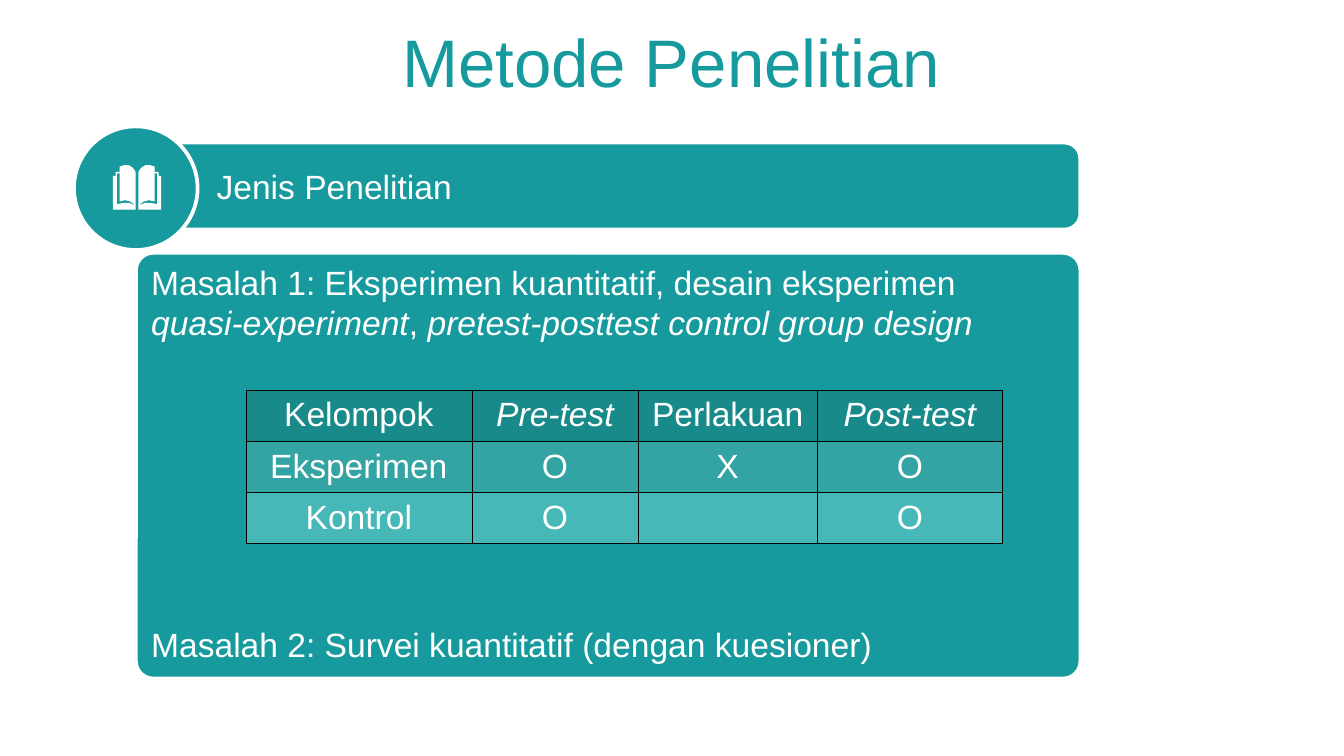
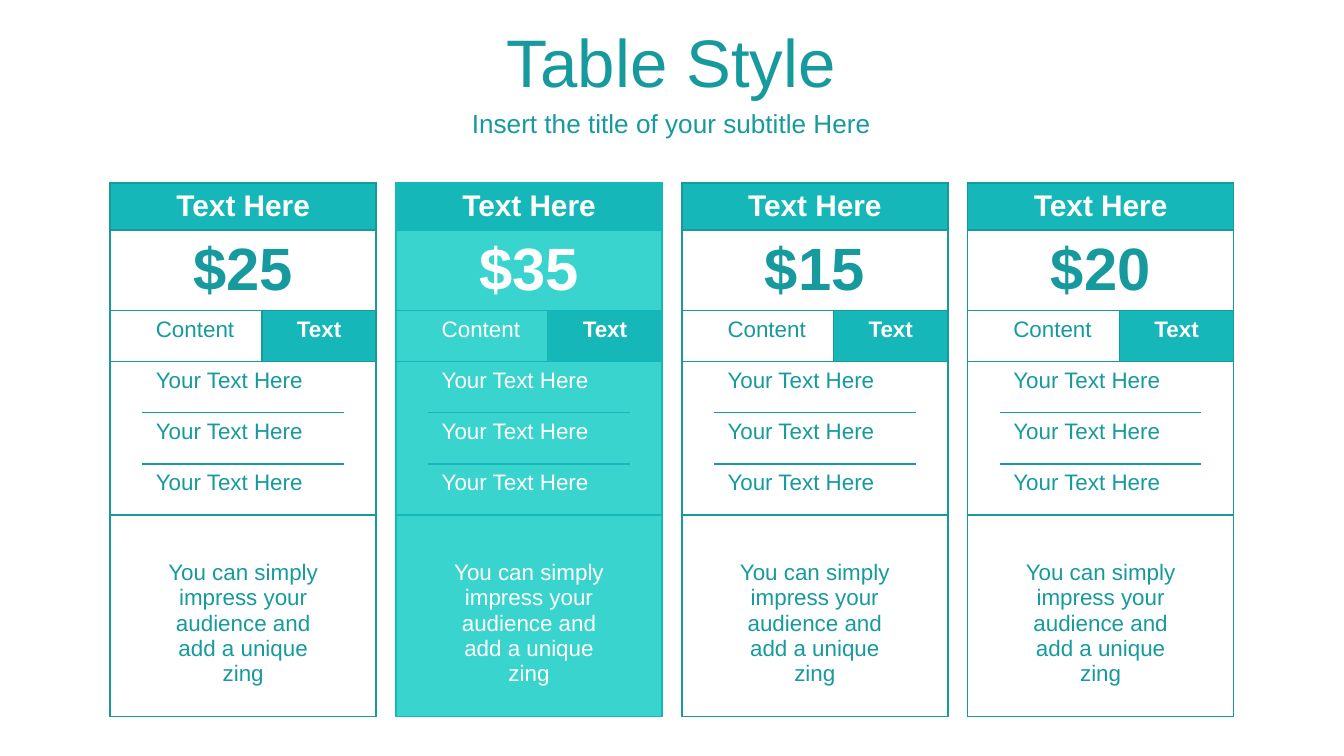
from lxml import etree
from pptx import Presentation
from pptx.dml.color import RGBColor
from pptx.enum.shapes import MSO_SHAPE as SHAPE
from pptx.enum.text import MSO_ANCHOR as ANCHOR, MSO_AUTO_SIZE as AUTO, PP_ALIGN as ALIGN
from pptx.oxml.ns import qn
from pptx.util import Inches, Pt

# Shared look
TEAL = RGBColor(0x17, 0x9A, 0x9D)
BRIGHT = RGBColor(0x16, 0xB7, 0xB8)
AQUA = RGBColor(0x38, 0xD4, 0xCD)
WHITE = RGBColor(0xFF, 0xFF, 0xFF)
BLACK = RGBColor(0, 0, 0)
ROW_FILLS = [RGBColor(0x19, 0x8A, 0x8A), RGBColor(0x33, 0xA3, 0xA3), RGBColor(0x47, 0xB8, 0xB8)]
FONT = "Arial"
SLIDE_W = 10
SLIDE_H = SLIDE_W * 9 / 16
NO_STYLE = "{2D5ABB26-0587-4C30-8999-92F81FD0307C}"

# Pricing cards
PRICES = ["$25", "$35", "$15", "$20"]
FEATURED = 1
CARD_LEFT, CARD_TOP, CARD_W = 0.82, 1.36, 1.98
CARD_COLS = [0.24, 0.89, 0.61, 0.24]
CARD_ROWS = [0.35, 0.6, 0.29, 0.29, 0.29, 0.29, 1.5]

# Right half of the open book, measured from the spine and the top
BOOK_OUTLINE = [(0.01, 0.05), (0.03, 0.02), (0.06, 0), (0.1, 0), (0.13, 0.01), (0.13, 0.05),
                (0.16, 0.05), (0.16, 0.08), (0.18, 0.08), (0.18, 0.33), (0.01, 0.33)]
BOOK_SLIT = [(0.01, 0.3), (0.05, 0.27), (0.09, 0.26), (0.13, 0.27), (0.13, 0.06),
             (0.15, 0.06), (0.15, 0.29), (0.1, 0.28), (0.06, 0.28)]


def add_run(p, text, size, color, **extra):
    r = p.add_run()
    r.text = text
    r.font.color.rgb = color
    for name, value in {"name": FONT, "size": Pt(size), **extra}.items():
        setattr(r.font, name, value)


def format_frame(tf, **values):
    for name, value in {"word_wrap": True, "auto_size": AUTO.NONE, **values}.items():
        setattr(tf, name, value)


def fill_placeholder(sp, text, top, height, size):
    sp.left, sp.top, sp.width, sp.height = map(Inches, (0, top, 9.99, height))
    format_frame(sp.text_frame, vertical_anchor=ANCHOR.MIDDLE)
    p = sp.text_frame.paragraphs[0]
    p.alignment = ALIGN.CENTER
    add_run(p, text, size, TEAL)


def add_titled_slide(prs, layout, title, subtitle=None):
    slide = prs.slides.add_slide(prs.slide_layouts[layout])
    fill_placeholder(slide.shapes.title, title, 0.14, 0.62, 36)
    if subtitle:
        fill_placeholder(slide.placeholders[1], subtitle, 0.76, 0.31, 14)
    return slide


def add_filled_shape(slide, kind, box, line_width, radius=None):
    sp = slide.shapes.add_shape(kind, *map(Inches, box))
    if radius:
        sp.adjustments[0] = radius / min(box[2:])
    sp.shadow.inherit = False
    sp.fill.solid()
    sp.fill.fore_color.rgb = TEAL
    sp.line.color.rgb = WHITE
    sp.line.width = Pt(line_width)
    return sp


def add_book(slide, spine, top):
    contours = [[(Inches(spine + side * x), Inches(top + y)) for x, y in half]
                for side in (-1, 1) for half in (BOOK_OUTLINE, BOOK_SLIT)]
    builder = slide.shapes.build_freeform(*contours[0][0])
    for i, points in enumerate(contours):
        if i:
            builder.move_to(*points[0])
        builder.add_line_segments(points[1:], close=True)
    sp = builder.convert_to_shape()
    sp.shadow.inherit = False
    sp.fill.solid()
    sp.fill.fore_color.rgb = WHITE
    sp.line.fill.background()


# Tables
def add_plain_table(slide, left, top, cols, rows):
    frame = slide.shapes.add_table(len(rows), len(cols), *map(
        Inches, (left, top, sum(cols), sum(rows))))
    table = frame.table
    table.first_row = table.horz_banding = False
    table._tbl.tblPr.find(qn("a:tableStyleId")).text = NO_STYLE
    for col, width in zip(table.columns, cols):
        col.width = Inches(width)
    for row, height in zip(table.rows, rows):
        row.height = Inches(height)
    return table


def style_cell(cell, fill, edges, color, width):
    """Draw the named edges (from LRTB), clear the others, then fill."""
    tc_pr = cell._tc.get_or_add_tcPr()
    for edge in "LRTB":
        ln = etree.SubElement(tc_pr, qn(f"a:ln{edge}"), w=str(Pt(width)))
        if edge in edges:
            solid = etree.SubElement(ln, qn("a:solidFill"))
            etree.SubElement(solid, qn("a:srgbClr"), val=str(color))
        else:
            etree.SubElement(ln, qn("a:noFill"))
    cell.fill.solid()
    cell.fill.fore_color.rgb = fill


def write_cell(cell, text, size, color, align=ALIGN.CENTER, **extra):
    p = cell.text_frame.paragraphs[0]
    p.alignment = align
    add_run(p, text, size, color, **extra)


def size_empty_cell(cell):
    """Give an empty cell the line height of 18 pt text."""
    end = etree.SubElement(cell.text_frame.paragraphs[0]._p, qn("a:endParaRPr"), sz="1800")
    etree.SubElement(end, qn("a:latin"), typeface=FONT)


def add_design_table(slide):
    rows = [["Kelompok", "Pre-test", "Perlakuan", "Post-test"],
            ["Eksperimen", "O", "X", "O"],
            ["Kontrol", "O", "", "O"]]
    table = add_plain_table(slide, 1.83, 2.9, [1.68, 1.24, 1.33, 1.38], [0.38] * 3)
    for r, (texts, fill) in enumerate(zip(rows, ROW_FILLS)):
        for c, text in enumerate(texts):
            cell = table.cell(r, c)
            style_cell(cell, fill, "LRTB", BLACK, 0.06)
            if text:
                write_cell(cell, text, 18, WHITE, italic=text.endswith("-test"))
            else:
                size_empty_cell(cell)


def card_edges(r, c, last_col):
    edges = "L" if c == 0 or (r, c) == (2, 2) else ""
    if last_col == 3 or (r, c) == (2, 1):
        edges += "R"
    if r not in (4, 5) or c in (1, 2):
        edges += "T"
    if r not in (3, 4) or c in (1, 2):
        edges += "B"
    return edges


def add_price_card(slide, left, price, featured):
    back, ink, line = (AQUA, WHITE, BRIGHT) if featured else (WHITE, TEAL, TEAL)
    table = add_plain_table(slide, left, CARD_TOP, CARD_COLS, CARD_ROWS)
    # First and last column of each merged run
    spans = {0: (0, 3), 1: (0, 3), 2: (2, 3), **{r: (1, 2) for r in range(3, 7)}}
    for r, (first, last) in spans.items():
        table.cell(r, first).merge(table.cell(r, last))
        for c in range(4):
            bright = r == 0 or (r == 2 and c >= 2)
            style_cell(table.cell(r, c), BRIGHT if bright else back,
                       card_edges(r, c, last if c == first else c), line, 0.96)

    write_cell(table.cell(0, 0), "Text Here", 16, WHITE, bold=True)
    write_cell(table.cell(1, 0), price, 32, ink, bold=True)
    write_cell(table.cell(2, 1), "Content", 12, ink, ALIGN.LEFT)
    write_cell(table.cell(2, 2), "Text", 12, WHITE, bold=True)
    for r in range(3, 6):
        write_cell(table.cell(r, 1), "Your Text Here", 12, ink, ALIGN.LEFT)
    note = table.cell(6, 1)
    note.margin_top = Inches(0.34)
    write_cell(note, "You can simply impress your audience and add a unique zing", 12, ink)
    for r in range(2, 7):
        for c in (0, 3):
            size_empty_cell(table.cell(r, c))


# Slides
def add_method_slide(prs):
    slide = add_titled_slide(prs, 5, "Metode Penelitian")

    # Heading bar with its badge
    bar = add_filled_shape(slide, SHAPE.ROUNDED_RECTANGLE, (1.1, 1.07, 6.93, 0.63), 0.75, 0.11)
    format_frame(bar.text_frame, vertical_anchor=ANCHOR.MIDDLE, margin_left=Inches(0.48))
    p = bar.text_frame.paragraphs[0]
    p.alignment = ALIGN.LEFT
    add_run(p, "Jenis Penelitian", 18, WHITE)
    add_filled_shape(slide, SHAPE.OVAL, (0.55, 0.94, 0.92, 0.92), 2)
    add_book(slide, 1.02, 1.23)

    # Panel with the two problems
    panel = add_filled_shape(slide, SHAPE.ROUNDED_RECTANGLE, (1.02, 1.89, 7.01, 3.15), 0.75, 0.12)
    tf = panel.text_frame
    format_frame(tf, vertical_anchor=ANCHOR.TOP, margin_left=Inches(0.07), margin_top=Inches(0.02))
    lines = [[("Masalah 1: Eksperimen kuantitatif, desain eksperimen", False)],
             [("quasi-experiment", True), (", ", False),
              ("pretest-posttest control group design", True)],
             [("Masalah 2: Survei kuantitatif (dengan kuesioner)", False)]]
    for i, runs in enumerate(lines):
        p = tf.add_paragraph() if i else tf.paragraphs[0]
        p.alignment = ALIGN.LEFT
        for text, italic in runs:
            add_run(p, text, 18, WHITE, italic=italic)
    p.space_before = Pt(151)
    add_design_table(slide)


def add_price_slide(prs):
    slide = add_titled_slide(prs, 0, "Table Style", "Insert the title of your subtitle Here")
    step = (SLIDE_W - 2 * CARD_LEFT - CARD_W) / (len(PRICES) - 1)
    for i, price in enumerate(PRICES):
        add_price_card(slide, CARD_LEFT + i * step, price, i == FEATURED)


def main():
    prs = Presentation()
    prs.slide_width, prs.slide_height = Inches(SLIDE_W), Inches(SLIDE_H)
    add_method_slide(prs)
    add_price_slide(prs)
    prs.save("out.pptx")


if __name__ == "__main__":
    main()
